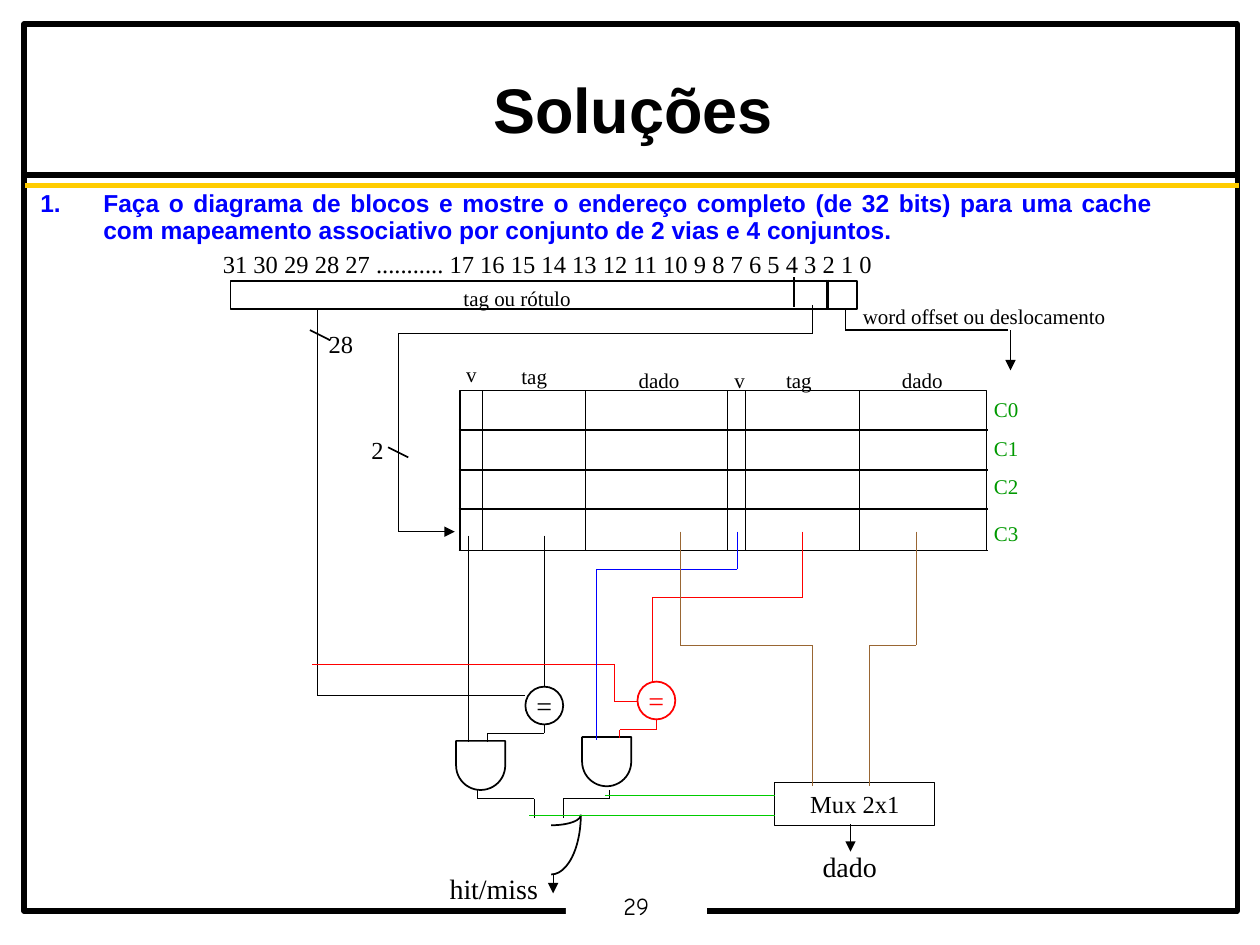
from lxml.etree import SubElement
from pptx import Presentation
from pptx.dml.color import RGBColor
from pptx.enum.shapes import MSO_CONNECTOR, MSO_SHAPE as SHAPE
from pptx.enum.text import MSO_ANCHOR as ANCHOR, MSO_AUTO_SIZE, PP_ALIGN as ALIGN
from pptx.oxml.ns import qn
from pptx.util import Pt

PX = 9144  # 100 px to the inch
COLORS = {"black": "000000", "white": "FFFFFF", "gold": "FFCC00", "blue": "0000FF",
          "red": "FF0000", "green": "00CC00", "brown": "996633", "set": "009900"}
RGB = {name: RGBColor.from_string(value) for name, value in COLORS.items()}
SERIF = "Times New Roman"

prs = Presentation()
prs.slide_width, prs.slide_height = 1000 * PX, 750 * PX
slide = prs.slides.add_slide(prs.slide_layouts[1])
shapes = slide.shapes


def write(shape, text, size, color="black", font=SERIF, bold=False,
          align=ALIGN.LEFT, anchor=ANCHOR.TOP, wrap=False, spacing=1.0):
    frame = shape.text_frame
    frame.text = text
    frame_format = {"word_wrap": wrap, "vertical_anchor": anchor,
                    "auto_size": MSO_AUTO_SIZE.NONE,
                    "margin_left": 10 * PX, "margin_right": 10 * PX,
                    "margin_top": 5 * PX, "margin_bottom": 5 * PX}
    for key, value in frame_format.items():
        setattr(frame, key, value)
    paragraph = frame.paragraphs[0]
    paragraph.alignment, paragraph.line_spacing = align, spacing
    run_font = paragraph.runs[0].font
    for key, value in {"name": font, "size": Pt(size), "bold": bold}.items():
        setattr(run_font, key, value)
    run_font.color.rgb = RGB[color]
    return paragraph


def wire(points, color="black", width=0.5, arrow=False):
    """Join the points by straight lines, with an arrowhead at the last one."""
    for start, end in zip(points, points[1:]):
        line = shapes.add_connector(MSO_CONNECTOR.STRAIGHT,
                                    *(value * PX for value in start + end))
        line.line.color.rgb = RGB[color]
        line.line.width = Pt(width)
        SubElement(line._element.spPr, qn("a:effectLst"))
    if arrow:
        SubElement(line.line._get_or_add_ln(), qn("a:tailEnd"), type="triangle")


# Boxes, gates and comparators
boxes = {}
for name, kind, place, fill, color, width in [
    ("frame", SHAPE.RECTANGLE, (19, 19, 963, 704), None, "black", 3),
    ("page", SHAPE.RECTANGLE, (449, 705, 112, 27), "white", None, 0),
    ("address", SHAPE.RECTANGLE, (183, 223, 497, 22), None, "black", 1),
    ("cache", SHAPE.RECTANGLE, (365, 310, 418, 127), None, "black", 1),
    ("compare 1", SHAPE.OVAL, (417, 545, 30, 30), None, "black", 1),
    ("compare 2", SHAPE.OVAL, (506, 541, 30, 30), None, "red", 1),
    ("and 1", SHAPE.FLOWCHART_DELAY, (362, 588, 39, 39), None, "black", 1),
    ("and 2", SHAPE.FLOWCHART_DELAY, (462, 585, 39, 39), None, "black", 1),
    ("or side", SHAPE.ARC, (414, 599, 47, 95), None, "black", 1),
    ("or top", SHAPE.ARC, (414, 639, 47, 16), None, "black", 1),
    ("mux", SHAPE.RECTANGLE, (615, 621, 127, 34), None, "black", 0.5),
]:
    box = boxes[name] = shapes.add_shape(kind, *(value * PX for value in place))
    box.shadow.inherit = False
    if fill:
        box.fill.solid()
        box.fill.fore_color.rgb = RGB[fill]
    else:
        box.fill.background()
    if color:
        box.line.color.rgb = RGB[color]
        box.line.width = Pt(width)
    else:
        box.line.fill.background()
    if kind == SHAPE.FLOWCHART_DELAY:
        box.rotation = 90
    elif kind == SHAPE.ARC:  # lower right quarter
        box.adjustments[0], box.adjustments[1] = 0, 54

for name, text, size, color, font in [
    ("page", "29", 14, "black", "Comic Neue"),
    ("compare 1", "=", 16, "black", SERIF),
    ("compare 2", "=", 16, "red", SERIF),
    ("mux", "Mux 2x1", 14, "black", SERIF),
]:
    write(boxes[name], text, size, color, font, align=ALIGN.CENTER, anchor=ANCHOR.MIDDLE)

# Header rules, title and question
wire([(20, 139), (983, 139)], width=3)
wire([(20, 147), (983, 147)], "gold", 3)

title, question = shapes.title, slide.placeholders[1]
for holder, place in [(title, (20, 57, 965, 63)), (question, (22, 147, 903, 513))]:
    holder.left, holder.top, holder.width, holder.height = (value * PX for value in place)
write(title, "Soluções", 36, font="Arial", bold=True, align=ALIGN.CENTER,
      anchor=ANCHOR.MIDDLE, wrap=True, spacing=0.95)
item = write(question, "Faça o diagrama de blocos e mostre o endereço completo (de 32 bits) "
             "para uma cache com mapeamento associativo por conjunto de 2 vias e 4 conjuntos.",
             14, "blue", "Arial", bold=True, align=ALIGN.JUSTIFY, wrap=True, spacing=0.9)
item.space_before = Pt(5.2)
numbering = item._p.get_or_add_pPr()
numbering.set("marL", str(50 * PX))
numbering.set("indent", str(-50 * PX))
SubElement(numbering, qn("a:buFont"), typeface="Arial")
SubElement(numbering, qn("a:buAutoNum"), type="arabicPeriod")

# Address fields and cache grid
for x, top in [(630, 220), (656, 222), (657, 222)]:
    wire([(x, top), (x, top + 24)], width=1)
for y in (341, 373, 404, 437):
    wire([(364, y), (784, y)], width=1)
for x in (383, 465, 577, 592, 682):
    wire([(x, 310), (x, 437)])

# Address wires
wire([(671, 246), (671, 262), (800, 262)], width=1)
wire([(802, 262), (802, 294)], width=1, arrow=True)
wire([(645, 242), (645, 265), (316, 265), (316, 422), (361, 422)], arrow=True)
wire([(252, 245), (252, 552), (417, 552)])
for x, y in [(308, 355), (246, 262)]:  # bus width marks
    wire([(x, y), (x + 16, y + 8)], width=1)

# First way
wire([(432, 425), (432, 545)])
wire([(372, 425), (372, 589)])
wire([(432, 575), (432, 582), (387, 582), (387, 589)])

# Second way
wire([(521, 571), (521, 579), (492, 579), (492, 586)], "red")
wire([(248, 527), (488, 527), (488, 557), (506, 557)], "red")
wire([(637, 422), (637, 474), (518, 474), (518, 542)], "red")
wire([(585, 422), (585, 452), (473, 452), (473, 587)], "blue")

# Hit and data outputs
wire([(379, 627), (379, 634), (424, 634), (424, 649)])
wire([(484, 627), (484, 634), (447, 634), (447, 649)])
wire([(439, 694), (439, 709)], arrow=True)
wire([(480, 631), (615, 631)], "green")
wire([(420, 647), (615, 647)], "green")
wire([(540, 422), (540, 512), (645, 512), (645, 624)], "brown")
wire([(727, 422), (727, 512), (690, 512), (690, 624)], "brown")
wire([(675, 654), (675, 676)], arrow=True)

# Labels
labels = [
    ("31 30 29 28 27 ........... 17 16 15 14 13 12 11 10 9 8 7 6 5 4 3 2 1 0",
     (167, 193, 537, 33), 14, "black"),
    ("tag ou rótulo", (358, 222, 105, 30), 12, "black"),
    ("word offset ou deslocamento", (675, 236, 213, 30), 12, "black"),
    ("28", (251, 256, 39, 33), 14, "black"),
    ("2", (285, 340, 30, 33), 14, "black"),
    ("v", (360, 282, 28, 30), 12, "black"),
    ("tag", (404, 284, 40, 30), 12, "black"),
    ("dado", (497, 287, 52, 30), 12, "black"),
    ("v", (573, 287, 28, 30), 12, "black"),
    ("tag", (614, 287, 40, 30), 12, "black"),
    ("dado", (706, 287, 52, 30), 12, "black"),
    ("hit/miss", (347, 687, 90, 36), 16, "black"),
    ("dado", (643, 669, 63, 36), 16, "black"),
]
labels += [(f"C{row}", (779, top, 39, 30), 12, "set")
           for row, top in enumerate((310, 341, 371, 408))]
for text, place, size, color in labels:
    write(shapes.add_textbox(*(value * PX for value in place)), text, size, color)

prs.save("out.pptx")
